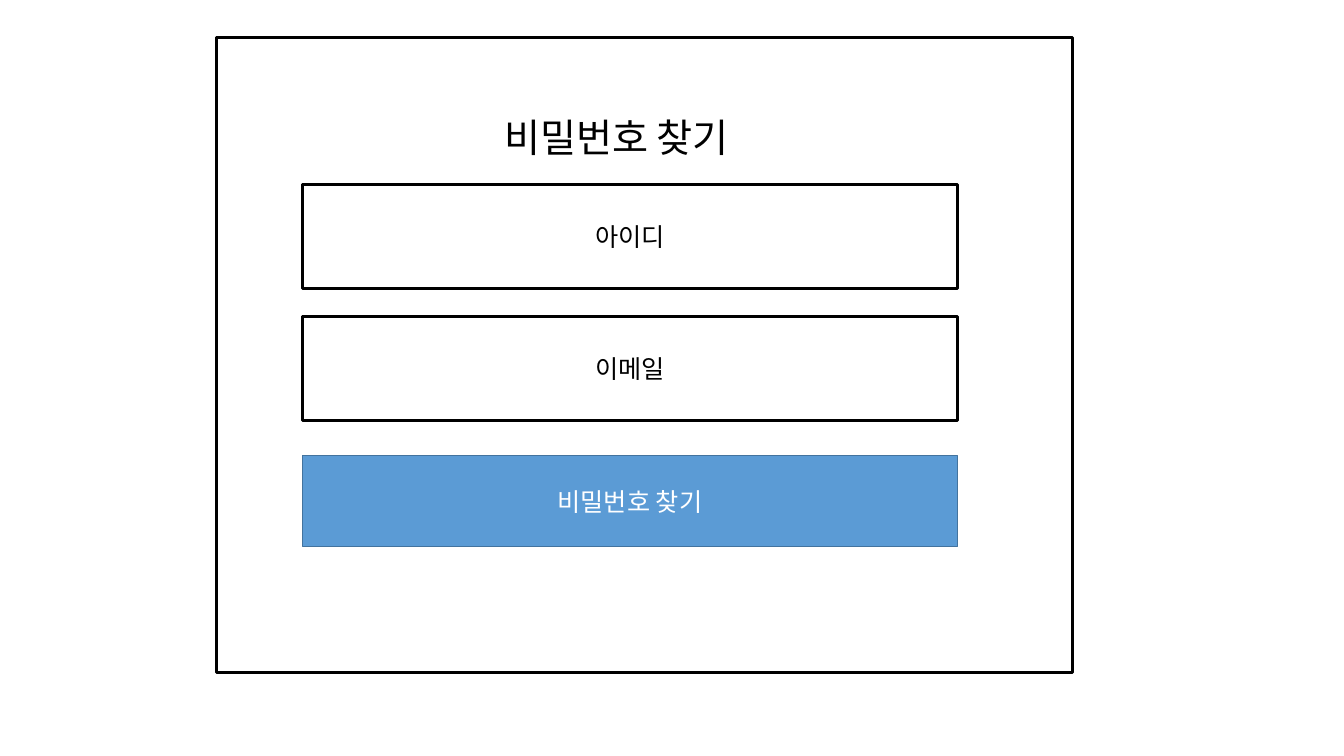
from dataclasses import dataclass
from typing import Optional

from lxml.etree import SubElement
from pptx import Presentation
from pptx.dml.color import RGBColor
from pptx.enum.shapes import MSO_SHAPE as Preset
from pptx.enum.text import MSO_ANCHOR as Anchor, MSO_AUTO_SIZE as AutoSize, PP_ALIGN as Align
from pptx.oxml.ns import qn
from pptx.slide import Slide
from pptx.text.text import TextFrame
from pptx.util import Cm, Pt

FONT = "Noto Sans CJK KR"
BLACK = "000000"
WHITE = "FFFFFF"
BLUE = "5B9BD5"
DARK_BLUE = "43739E"
FORM_LEFT, FORM_WIDTH = 7.62, 16.51
FIELD_HEIGHT = 2.62


@dataclass(frozen=True)
class Panel:
    """A rectangle, measured in centimetres, with an optional label."""
    left: float
    top: float
    width: float
    height: float
    label: str = ""
    fill: Optional[str] = None
    line: str = BLACK
    line_width: float = 2
    ink: str = BLACK


PANELS = [
    Panel(5.46, 0.94, 21.56, 16),
    Panel(FORM_LEFT, 4.65, FORM_WIDTH, FIELD_HEIGHT, "아이디"),
    Panel(FORM_LEFT, 7.98, FORM_WIDTH, FIELD_HEIGHT, "이메일"),
    Panel(FORM_LEFT, 11.48, FORM_WIDTH, 2.29, "비밀번호 찾기",
          fill=BLUE, line=DARK_BLUE, line_width=1, ink=WHITE),
]


def color(value: str) -> RGBColor:
    return RGBColor.from_string(value)


def write(frame: TextFrame, text: str, size: float, ink: str, align: Align) -> None:
    para = frame.paragraphs[0]
    para.alignment = align
    span = para.add_run()
    span.text = text
    span.font.size = Pt(size)
    span.font.color.rgb = color(ink)
    span.font.name = FONT
    SubElement(span._r.get_or_add_rPr(), qn("a:ea")).set("typeface", FONT)


def draw_panel(page: Slide, panel: Panel) -> None:
    box = page.shapes.add_shape(Preset.RECTANGLE, Cm(panel.left), Cm(panel.top),
                                Cm(panel.width), Cm(panel.height))
    box.shadow.inherit = False
    if panel.fill:
        box.fill.solid()
        box.fill.fore_color.rgb = color(panel.fill)
    else:
        box.fill.background()
    box.line.color.rgb = color(panel.line)
    box.line.width = Pt(panel.line_width)
    if panel.label:
        box.text_frame.vertical_anchor = Anchor.MIDDLE
        write(box.text_frame, panel.label, 18, panel.ink, Align.CENTER)


def place_title(page: Slide, text: str) -> None:
    title = page.shapes.title
    title.left, title.top = Cm(12.45), Cm(2.74)
    title.width, title.height = Cm(6.86), Cm(1.45)
    frame = title.text_frame
    frame.word_wrap = False
    frame.auto_size = AutoSize.SHAPE_TO_FIT_TEXT
    frame.vertical_anchor = Anchor.TOP
    write(frame, text, 28, BLACK, Align.LEFT)


def main() -> None:
    deck = Presentation()
    deck.slide_width, deck.slide_height = Cm(33.87), Cm(19.05)
    page = deck.slides.add_slide(deck.slide_layouts.get_by_name("Title Only"))
    place_title(page, "비밀번호 찾기")
    for panel in PANELS:
        draw_panel(page, panel)
    deck.save("out.pptx")


if __name__ == "__main__":
    main()
